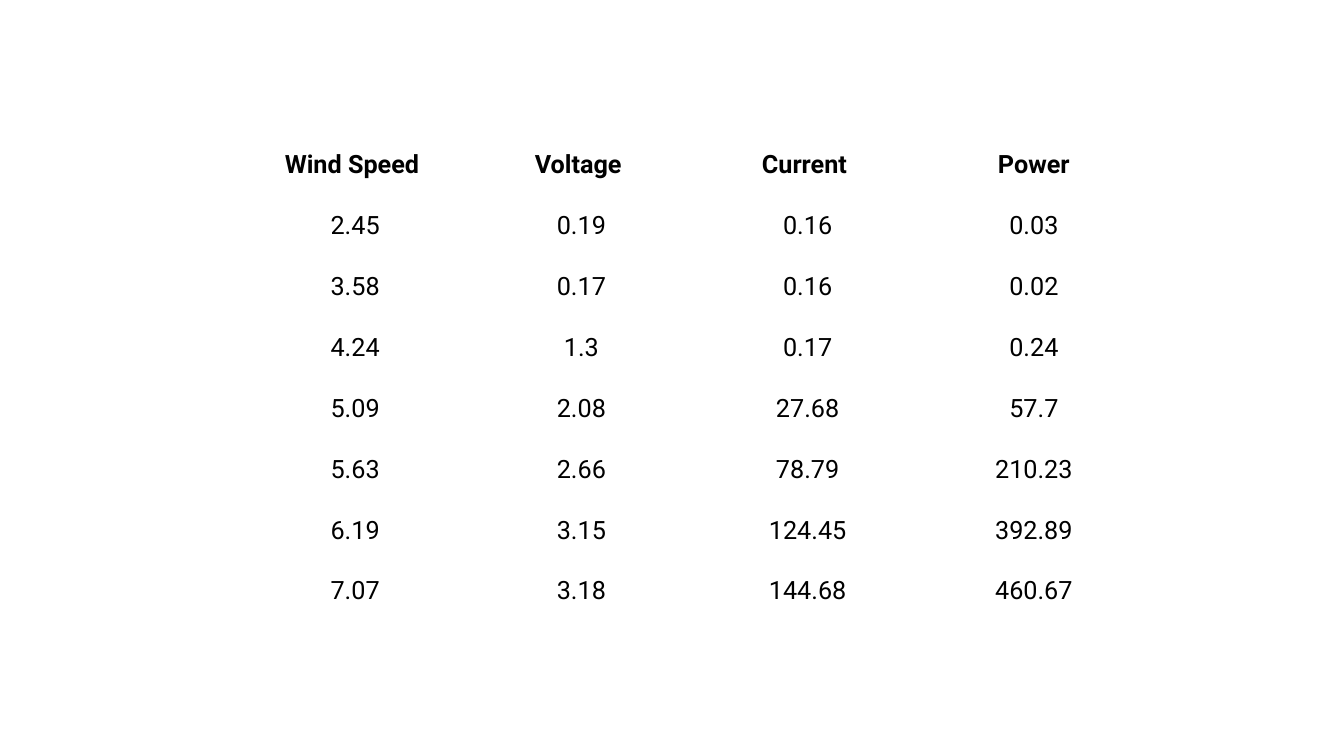
import pptx
import pptx.dml.color
import pptx.enum.text
import pptx.util

# Content: the trailing spaces are part of the headings
HEADINGS = ("Wind Speed ", "Voltage ", "Current ", "Power")
READINGS = [
    ("2.45", "0.19", "0.16", "0.03"),
    ("3.58", "0.17", "0.16", "0.02"),
    ("4.24", "1.3", "0.17", "0.24"),
    ("5.09", "2.08", "27.68", "57.7"),
    ("5.63", "2.66", "78.79", "210.23"),
    ("6.19", "3.15", "124.45", "392.89"),
    ("7.07", "3.18", "144.68", "460.67"),
]

BLACK = pptx.dml.color.RGBColor(0x00, 0x00, 0x00)
FONT = "Roboto"

# Lengths in px
PX_PER_INCH = 100.8
SLIDE_WIDTH, SLIDE_HEIGHT = 1344, 756
LEFT, TOP, WIDTH, HEIGHT = 242, 135, 905, 487


def px(length):
    return pptx.util.Inches(length / PX_PER_INCH)


def write(cell, text, size=18, bold=False, color=BLACK):
    cell.fill.background()
    cell.vertical_anchor = pptx.enum.text.MSO_ANCHOR.MIDDLE
    paragraph = cell.text_frame.paragraphs[0]
    paragraph.alignment = pptx.enum.text.PP_ALIGN.CENTER
    run = paragraph.add_run()
    run.text = text
    run.font.name = FONT
    run.font.size = pptx.util.Pt(size)
    run.font.bold = bold
    run.font.color.rgb = color


def main():
    deck = pptx.Presentation()
    deck.slide_width, deck.slide_height = px(SLIDE_WIDTH), px(SLIDE_HEIGHT)
    slide = deck.slides.add_slide(deck.slide_layouts[6])

    # Measurements table with equal rows and columns
    lines = [HEADINGS] + READINGS
    measurements = slide.shapes.add_table(
        len(lines), len(HEADINGS), px(LEFT), px(TOP), px(WIDTH), px(HEIGHT)
    ).table
    measurements.first_row = False
    measurements.horz_banding = False

    # Bold headings, then the readings
    for row, line in enumerate(lines):
        for column, text in enumerate(line):
            write(measurements.cell(row, column), text, bold=row == 0)

    deck.save("out.pptx")


if __name__ == "__main__":
    main()
